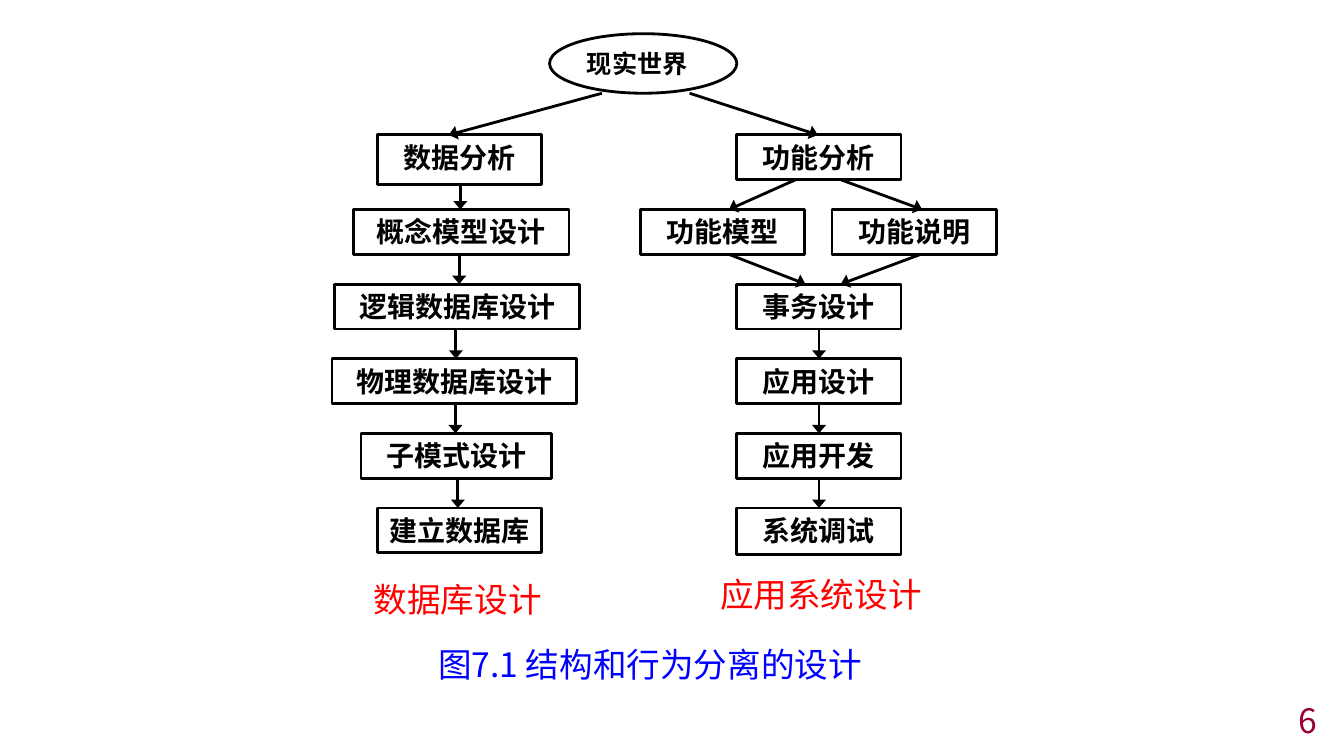
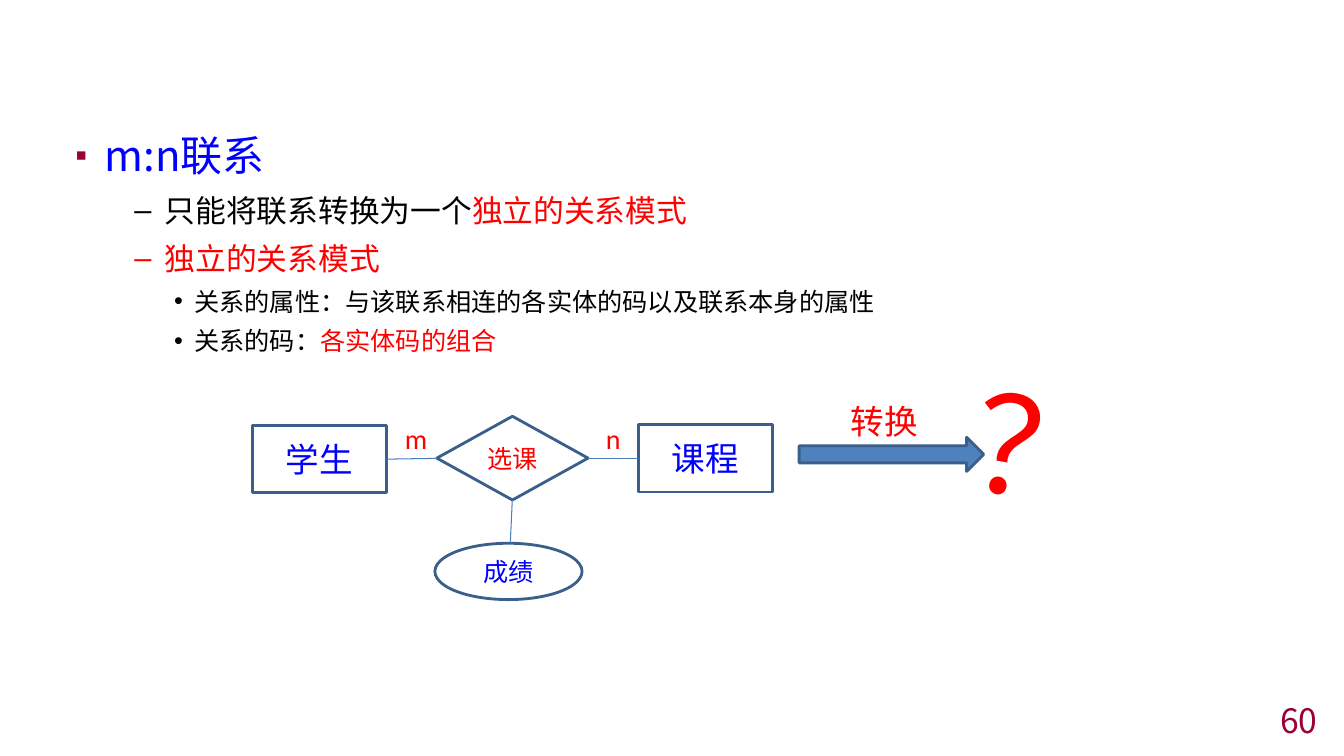
from collections import namedtuple

from lxml import etree
from pptx import Presentation
from pptx import util as u
from pptx.dml.color import RGBColor
from pptx.enum import shapes, text
from pptx.oxml.ns import qn

BLACK = RGBColor(0x00, 0x00, 0x00)
WHITE = RGBColor(0xFF, 0xFF, 0xFF)
RED = RGBColor(0xFF, 0x00, 0x00)
BLUE = RGBColor(0x00, 0x00, 0xFF)
CRIMSON = RGBColor(0x99, 0x00, 0x33)
STEEL = RGBColor(0x4F, 0x81, 0xBD)
STEEL_DARK = RGBColor(0x3A, 0x5F, 0x8C)
STEEL_LINK = RGBColor(0x4B, 0x7E, 0xBC)

CJK = "Noto Sans CJK SC"
LATIN = "Calibri"
BULLET_FONT = "Arial"
LEFT, CENTER, RIGHT = text.PP_ALIGN.LEFT, text.PP_ALIGN.CENTER, text.PP_ALIGN.RIGHT
TOP, MIDDLE = text.MSO_ANCHOR.TOP, text.MSO_ANCHOR.MIDDLE
KIND = shapes.MSO_SHAPE

Box = namedtuple("Box", "left top width height")
Level = namedtuple("Level", "size margin hang mark")

PAGE = Box(0, 0, 33.87, 19.05)
PAGE_NUMBER = Box(26.25, 17.75, 7.2, 0.79)
FLOW = Box(8.37, 0.85, 16.74, 16.54)
BULLETS = Box(1.65, 2.97, 29.9, 15.19)
ER_DIAGRAM = Box(6.36, 9.09, 21.49, 6.02)

STEP_MARGINS = {
    "margin_left": u.Cm(0.25), "margin_top": u.Cm(0.3),
    "margin_right": u.Cm(0.25), "margin_bottom": u.Cm(0.13),
}
LEVELS = [
    Level(30, 0.74, 0.74, "▪"),
    Level(22, 2.25, 0.76, "–"),
    Level(18, 3.0, 0.51, "•"),
]


def apply(target, values):
    for name, value in values.items():
        setattr(target, name, value)


def inside(region, left, top, width, height):
    return Box(region.left + left, region.top + top, width, height)


def lengths(box):
    return [u.Cm(value) for value in box]


def add_run(paragraph, words, size, color, font=CJK, bold=False):
    run = paragraph.add_run()
    run.text = words
    apply(run.font, {"name": font, "size": u.Pt(size), "bold": bold})
    run.font.color.rgb = color
    etree.SubElement(run.font._element, qn("a:ea"), typeface=font)


def write(shape, words, size, color, align=CENTER, anchor=TOP, spacing=None,
          margins=None, **style):
    frame = shape.text_frame
    apply(frame, {"word_wrap": True, "vertical_anchor": anchor, **(margins or {})})
    paragraph = frame.paragraphs[0]
    apply(paragraph, {"alignment": align, "line_spacing": spacing})
    add_run(paragraph, words, size, color, **style)


def add_label(slide, box, words, size, color, **style):
    label = slide.shapes.add_textbox(*lengths(box))
    write(label, words, size, color, **style)
    return label


def add_outline(slide, kind, box, line, fill=None):
    shape = slide.shapes.add_shape(kind, *lengths(box))
    shape.shadow.inherit = False
    if fill is None:
        shape.fill.background()
    else:
        shape.fill.solid()
        shape.fill.fore_color.rgb = fill
    shape.line.color.rgb = line
    shape.line.width = u.Pt(2)
    return shape


def add_link(slide, region, start, end, color, width, arrow=False):
    points = [u.Cm(value) for x, y in (start, end)
              for value in (region.left + x, region.top + y)]
    link = slide.shapes.add_connector(shapes.MSO_CONNECTOR.STRAIGHT, *points)
    link.line.color.rgb = color
    link.line.width = u.Pt(width)
    properties = link._element.spPr
    if arrow:
        etree.SubElement(properties.find(qn("a:ln")), qn("a:tailEnd"),
                         type="triangle", w="lg", len="med")
    etree.SubElement(properties, qn("a:effectLst"))


def add_page(deck, number):
    slide = deck.slides.add_slide(deck.slide_layouts[6])
    add_label(slide, PAGE_NUMBER, number, 24, CRIMSON, align=RIGHT, anchor=MIDDLE)
    return slide


def draw_flow(slide, region):
    first_row, pitch, height, width = 2.55, 1.88, 1.13, 4.14
    right_column = 10.2
    extra_height = {"数据分析": 0.12, "系统调试": 0.04}

    def top(row):
        return first_row + row * pitch

    def bottom(row, name=""):
        return top(row) + height + extra_height.get(name, 0)

    def arrow(start, end):
        add_link(slide, region, start, end, BLACK, 2, arrow=True)

    world = add_outline(slide, KIND.OVAL, inside(region, 5.48, 0, 4.72, 1.5), BLACK, WHITE)
    write(world, "现实世界", 18, BLACK, align=LEFT, anchor=MIDDLE, bold=True)

    data_steps = [
        ("数据分析", 0, 1.14, width), ("概念模型设计", 1, 0.53, 5.44),
        ("逻辑数据库设计", 2, 0.07, 6.17), ("物理数据库设计", 3, 0, 6.17),
        ("子模式设计", 4, 0.73, 4.8), ("建立数据库", 5, 1.14, width),
    ]
    function_steps = [
        ("功能分析", 0, right_column, width),
        ("功能模型", 1, 7.77, width), ("功能说明", 1, 12.6, width),
    ]
    application_steps = [
        (name, row, right_column, width)
        for row, name in enumerate(["事务设计", "应用设计", "应用开发", "系统调试"], 2)
    ]
    for name, row, left, wide in data_steps + function_steps + application_steps:
        box = inside(region, left, top(row), wide, bottom(row, name) - top(row))
        step = add_outline(slide, KIND.RECTANGLE, box, BLACK, WHITE)
        write(step, name, 20, BLACK, spacing=0.8, margins=STEP_MARGINS, bold=True)

    for chain in (data_steps, application_steps):
        for (name, row, left, wide), (_, next_row, next_left, next_wide) in zip(chain, chain[1:]):
            x = (left + wide / 2 + next_left + next_wide / 2) / 2
            arrow((x, bottom(row, name)), (x, top(next_row)))

    for start, end in [
        ((6.8, 1.5), (2.94, top(0))), ((9.01, 1.5), (12.24, top(0))),
        ((11.68, bottom(0)), (10, top(1))), ((12.82, bottom(0)), (14.87, top(1))),
        ((10, bottom(1)), (11.93, top(2))), ((14.83, bottom(1)), (12.82, top(2))),
    ]:
        arrow(start, end)

    for words, box, color, style in [
        ("数据库设计", (0.8, 13.62, 4.8, 1.27), RED, {"align": LEFT}),
        ("应用系统设计", (9.49, 13.48, 5.66, 1.27), RED, {}),
        ("图7.1 结构和行为分离的设计 ", (2.39, 15.25, 11.43, 1.27), BLUE, {"anchor": MIDDLE}),
    ]:
        add_label(slide, inside(region, *box), words, 24, color, **style)


def draw_bullets(slide, region):
    items = [
        (0, [("m:n联系", BLUE)]),
        (1, [("只能将联系转换为一个", BLACK), ("独立的关系模式", RED)]),
        (1, [("独立的关系模式", RED)]),
        (2, [("关系的属性：与该联系相连的各实体的码以及联系本身的属性", BLACK)]),
        (2, [("关系的码：", BLACK), ("各实体码的组合", RED)]),
    ]
    frame = slide.shapes.add_textbox(*lengths(region)).text_frame
    frame.word_wrap = True
    for index, (depth, runs) in enumerate(items):
        level = LEVELS[depth]
        paragraph = frame.add_paragraph() if index else frame.paragraphs[0]
        properties = paragraph._p.get_or_add_pPr()
        properties.set("marL", str(u.Cm(level.margin)))
        properties.set("indent", str(-u.Cm(level.hang)))
        if depth == 0:
            bullet_color = etree.SubElement(properties, qn("a:buClr"))
            etree.SubElement(bullet_color, qn("a:srgbClr"), val=str(CRIMSON))
            etree.SubElement(properties, qn("a:buSzPct"), val="80000")
        etree.SubElement(properties, qn("a:buFont"), typeface=BULLET_FONT)
        etree.SubElement(properties, qn("a:buChar"), char=level.mark)
        apply(paragraph, {
            "level": depth, "line_spacing": 1.14,
            "space_before": u.Pt(level.size * 0.2 if index else 0),
        })
        for words, color in runs:
            add_run(paragraph, words, level.size, color)


def draw_er_diagram(slide, region):
    axis = 2.46
    for kind, box, name, size, color in [
        (KIND.RECTANGLE, (0, 1.63, 3.38, 1.7), "学生", 24, BLUE),
        (KIND.RECTANGLE, (9.73, 1.61, 3.38, 1.7), "课程", 24, BLUE),
        (KIND.DIAMOND, (4.65, 1.4, 3.81, 2.11), "选课", 18, RED),
        (KIND.OVAL, (4.6, 4.6, 3.71, 1.42), "成绩", 18, BLUE),
    ]:
        node = add_outline(slide, kind, inside(region, *box), STEEL_DARK)
        write(node, name, size, color, anchor=MIDDLE)

    for start, end in [
        ((3.38, 2.48), (4.65, axis)), ((8.46, axis), (9.73, axis)), ((6.55, 3.51), (6.5, 4.6)),
    ]:
        add_link(slide, region, start, end, STEEL_LINK, 0.75)

    for cardinality, left in (("m", 3.49), ("n", 8.46)):
        add_label(slide, inside(region, left, 1.4, 1.27, 1.12), cardinality, 20, RED, font=LATIN)

    add_outline(slide, KIND.RIGHT_ARROW, inside(region, 13.78, 1.93, 4.65, 0.86),
                STEEL_DARK, STEEL)
    add_label(slide, inside(region, 14.44, 0.89, 2.97, 1.27), "转换", 24, RED)
    question = add_label(slide, inside(region, 17.93, 0, 3.53, 4.37), "？", 96, RED, align=LEFT)
    question.rotation = 10.1


def main():
    deck = Presentation()
    apply(deck, {"slide_width": u.Cm(PAGE.width), "slide_height": u.Cm(PAGE.height)})
    draw_flow(add_page(deck, "6"), FLOW)
    relation = add_page(deck, "60")
    draw_bullets(relation, BULLETS)
    draw_er_diagram(relation, ER_DIAGRAM)
    deck.save("out.pptx")


if __name__ == "__main__":
    main()
